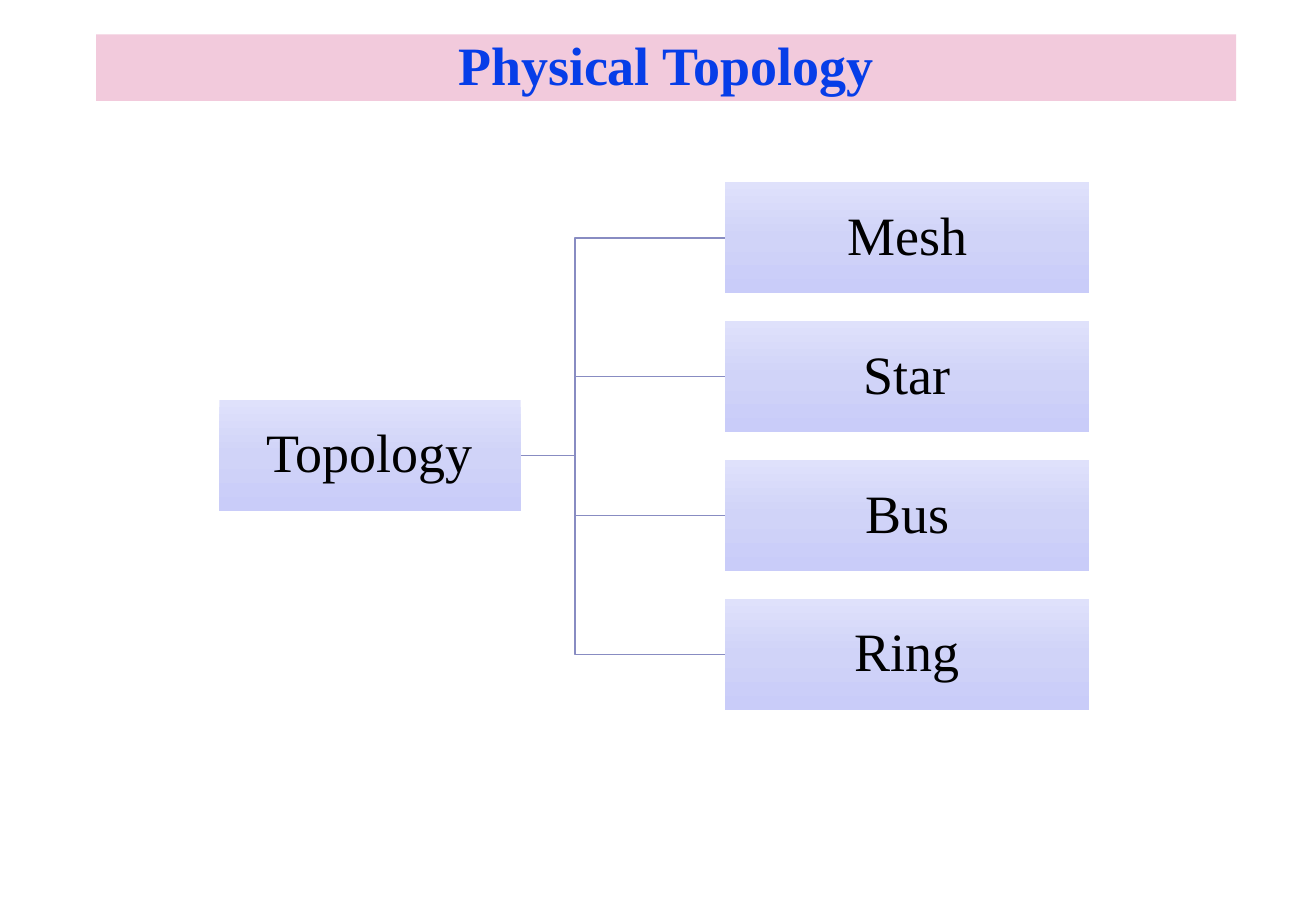
"""Build the Physical Topology slide: a root box branching to four topologies."""
import copy

import pptx
import pptx.dml.color
import pptx.enum.shapes
import pptx.enum.text
import pptx.oxml.ns
import pptx.util

RGBColor = pptx.dml.color.RGBColor
PINK = RGBColor(0xF2, 0xCA, 0xDC)
BLUE = RGBColor(0x06, 0x3D, 0xE8)
BLACK = RGBColor(0x00, 0x00, 0x00)
LINE = RGBColor(0x88, 0x8C, 0xC2)
LAVENDER = (
    RGBColor(0xDF, 0xE1, 0xFB),
    RGBColor(0xD0, 0xD3, 0xF8),
    RGBColor(0xC9, 0xCC, 0xF9),
)

TOPOLOGIES = ("Mesh", "Star", "Bus", "Ring")
BOX_HEIGHT = 12.2
ROOT_LEFT, ROOT_WIDTH, ROOT_MIDDLE = 16.66, 22.9, 50
BRANCH_LEFT = 32.3
LEAF_LEFT, LEAF_WIDTH, LEAF_TOP, LEAF_STEP = 55.1, 27.66, 20, 15.25


class Deck:
    """Holds the style and the current slide; lengths are percentages of the slide."""

    font = "Times New Roman"
    size = pptx.util.Pt(32)

    def __init__(self, prs):
        self.prs = prs
        self.slide = prs.slides.add_slide(prs.slide_layouts[6])

    def x(self, share):
        return round(self.prs.slide_width * share / 100)

    def y(self, share):
        return round(self.prs.slide_height * share / 100)

    def rect(self, text, left, top, width, height, color, bold=False):
        sp = self.slide.shapes.add_shape(
            pptx.enum.shapes.MSO_SHAPE.RECTANGLE,
            self.x(left), self.y(top), self.x(width), self.y(height))
        sp.shadow.inherit = False
        sp.line.fill.background()
        tf = sp.text_frame
        tf.text = text
        tf.word_wrap = True
        tf.vertical_anchor = pptx.enum.text.MSO_ANCHOR.MIDDLE
        tf.margin_left = tf.margin_right = pptx.util.Inches(0.02)
        tf.margin_top = tf.margin_bottom = pptx.util.Inches(0.02)
        p = tf.paragraphs[0]
        p.alignment = pptx.enum.text.PP_ALIGN.CENTER
        p.line_spacing = 0.9
        r = p.runs[0]
        r.font.name = self.font
        r.font.size = self.size
        r.font.bold = bold
        r.font.color.rgb = color
        return sp

    def title(self, text, left, top, width, height):
        sp = self.rect(text, left, top, width, height, BLUE, bold=True)
        sp.fill.solid()
        sp.fill.fore_color.rgb = PINK

    def box(self, text, left, middle, width):
        sp = self.rect(text, left, middle - BOX_HEIGHT / 2, width, BOX_HEIGHT, BLACK)
        sp.fill.gradient()
        sp.fill.gradient_angle = 270
        stops = sp._element.spPr.find(".//" + pptx.oxml.ns.qn("a:gsLst"))
        stops.append(copy.deepcopy(stops[0]))
        for i, (stop, color) in enumerate(zip(sp.fill.gradient_stops, LAVENDER)):
            stop.position = i / 2
            stop.color.rgb = color

    def branch(self, x1, y1, x2, y2):
        bend = (x1 + x2) / 2
        fb = self.slide.shapes.build_freeform(self.x(x1), self.y(y1))
        corners = [(bend, y1), (bend, y2), (x2, y2)]
        fb.add_line_segments([(self.x(x), self.y(y)) for x, y in corners], close=False)
        sp = fb.convert_to_shape()
        sp.shadow.inherit = False
        sp.fill.background()
        sp.line.color.rgb = LINE
        sp.line.width = pptx.util.Pt(1)


def main():
    prs = pptx.Presentation()
    prs.slide_width = pptx.util.Inches(10.83)
    prs.slide_height = pptx.util.Inches(7.5)
    deck = Deck(prs)
    deck.title("Physical Topology", 7.3, 3.77, 86.64, 7.33)

    middles = [LEAF_TOP + BOX_HEIGHT / 2 + i * LEAF_STEP
               for i in range(len(TOPOLOGIES))]
    for middle in reversed(middles):
        deck.branch(BRANCH_LEFT, ROOT_MIDDLE, LEAF_LEFT, middle)
    deck.box("Topology", ROOT_LEFT, ROOT_MIDDLE, ROOT_WIDTH)
    for name, middle in zip(TOPOLOGIES, middles):
        deck.box(name, LEAF_LEFT, middle, LEAF_WIDTH)

    prs.save("out.pptx")


if __name__ == "__main__":
    main()
